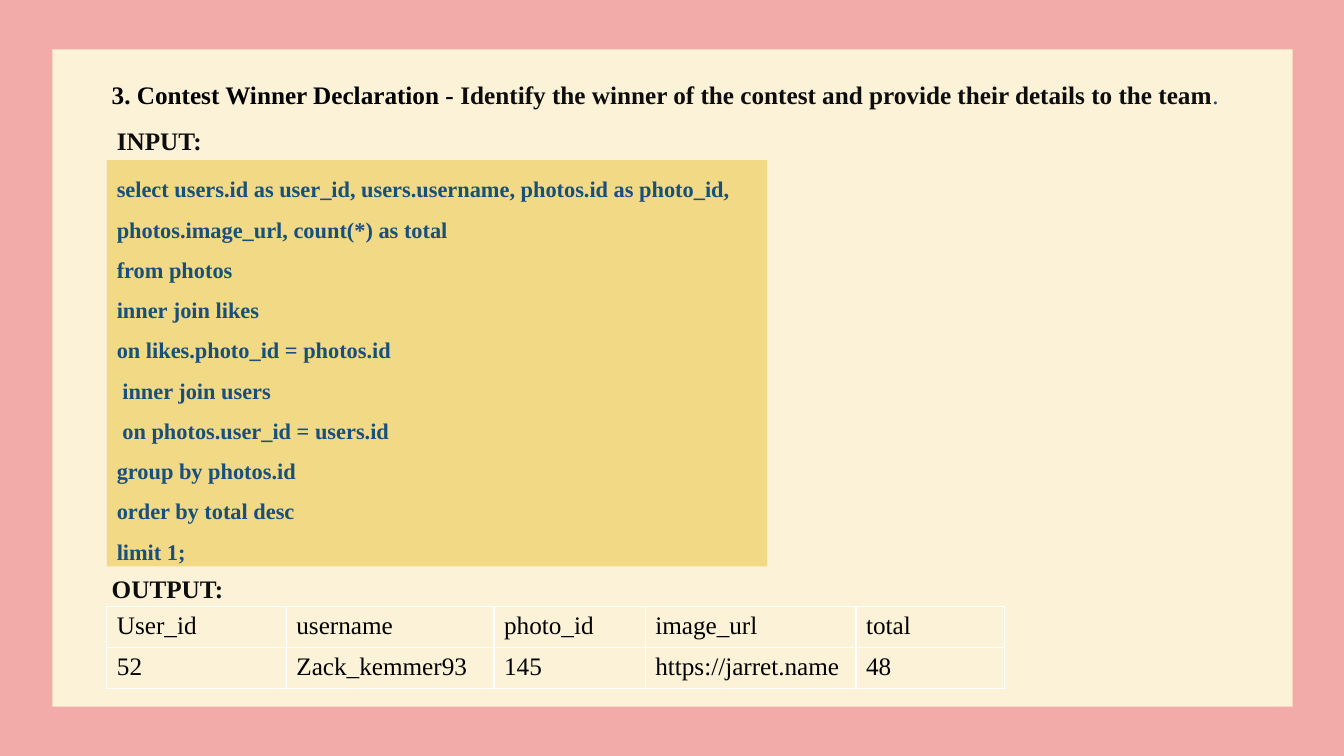
from pptx import Presentation
from pptx.dml.color import RGBColor
from pptx.enum.shapes import MSO_SHAPE
from pptx.enum.text import MSO_ANCHOR, PP_ALIGN
from pptx.oxml import parse_xml
from pptx.oxml.ns import nsdecls
from pptx.util import Inches, Pt

PINK = RGBColor(0xF2, 0xAB, 0xA9)
CREAM = RGBColor(0xFB, 0xF2, 0xD7)
GOLD = RGBColor(0xF2, 0xD9, 0x86)
NAVY = RGBColor(0x18, 0x4F, 0x7B)
INK = RGBColor(0x0D, 0x0D, 0x0D)
BLACK = RGBColor(0, 0, 0)
FONT = "Times New Roman"
WIDE, HIGH = 13.33, 7.5
LEFT, EDGE = 1.06, 1.01

QUERY = [
    "select users.id as user_id, users.username, photos.id as photo_id, ",
    "photos.image_url, count(*) as total ",
    "from photos ",
    "inner join likes ",
    "on likes.photo_id = photos.id",
    " inner join users",
    " on photos.user_id = users.id ",
    "group by photos.id ",
    "order by total desc ",
    "limit 1;",
]
TITLE = [
    ("3. Contest Winner Declaration - ", BLACK, True),
    ("Identify the winner of the contest and provide their details to the team", INK, True),
    (".", NAVY, False),
]
ROWS = [
    ["User_id", "username", "photo_id", "image_url", "total"],
    ["52", "Zack_kemmer93", "145", "https://jarret.name", "48"],
]
COLS = [1.78, 2.06, 1.5, 2.09, 1.47]


def add_run(para, text, color, bold=True, size=18):
    run = para.add_run()
    run.text = text
    font = run.font
    font.name, font.size, font.bold = FONT, Pt(size), bold
    font.color.rgb = color


def add_panel(slide, box, fill):
    panel = slide.shapes.add_shape(MSO_SHAPE.RECTANGLE, *map(Inches, box))
    panel.shadow.inherit = False
    panel.fill.solid()
    panel.fill.fore_color.rgb = fill
    panel.line.fill.background()
    return panel


def add_label(slide, box, runs, space=1.0):
    frame = slide.shapes.add_textbox(*map(Inches, box)).text_frame
    frame.word_wrap = True
    para = frame.paragraphs[0]
    para.line_spacing = space
    for text, color, bold in runs:
        add_run(para, text, color, bold)


def add_query(slide, box):
    frame = add_panel(slide, box, GOLD).text_frame
    frame.word_wrap = True
    frame.vertical_anchor = MSO_ANCHOR.MIDDLE
    frame.margin_top = frame.margin_bottom = 0
    para = frame.paragraphs[0]
    para.alignment = PP_ALIGN.LEFT
    para.line_spacing = 1.5
    for index, line in enumerate(QUERY):
        if index:
            para.add_line_break()
        add_run(para, line, NAVY, size=16)


def add_border(cell):
    props = cell._tc.get_or_add_tcPr()
    for index, side in enumerate(("lnL", "lnR", "lnT", "lnB")):
        props.insert(index, parse_xml(
            f'<a:{side} {nsdecls("a")} w="12700"><a:solidFill>'
            f'<a:srgbClr val="FFFFFF"/></a:solidFill></a:{side}>'))


def add_result(slide, box):
    table = slide.shapes.add_table(len(ROWS), len(COLS), *map(Inches, box)).table
    table.first_row = table.horz_banding = False
    for col, width in zip(table.columns, COLS):
        col.width = Inches(width)
    for row, texts in zip(table.rows, ROWS):
        for cell, text in zip(row.cells, texts):
            cell.fill.background()
            add_border(cell)
            add_run(cell.text_frame.paragraphs[0], text, BLACK, False)


def main():
    deck = Presentation()
    deck.slide_width, deck.slide_height = Inches(WIDE), Inches(HIGH)
    slide = deck.slides.add_slide(deck.slide_layouts[6])
    back = slide.background.fill
    back.solid()
    back.fore_color.rgb = PINK
    add_panel(slide, (0.52, 0.49, 12.3, 6.52), CREAM)
    add_query(slide, (LEFT, 1.59, 6.55, 4.03))
    add_label(slide, (EDGE, 0.68, 11.39, 0.81), TITLE, 1.2)
    add_label(slide, (LEFT, 1.19, 2.49, 0.4), [("INPUT:", INK, True)])
    add_label(slide, (EDGE, 5.67, 1.81, 0.48), [("OUTPUT:", INK, True)], 0.9)
    add_result(slide, (LEFT, 6.02, sum(COLS), 0.81))
    deck.save("out.pptx")


if __name__ == "__main__":
    main()
